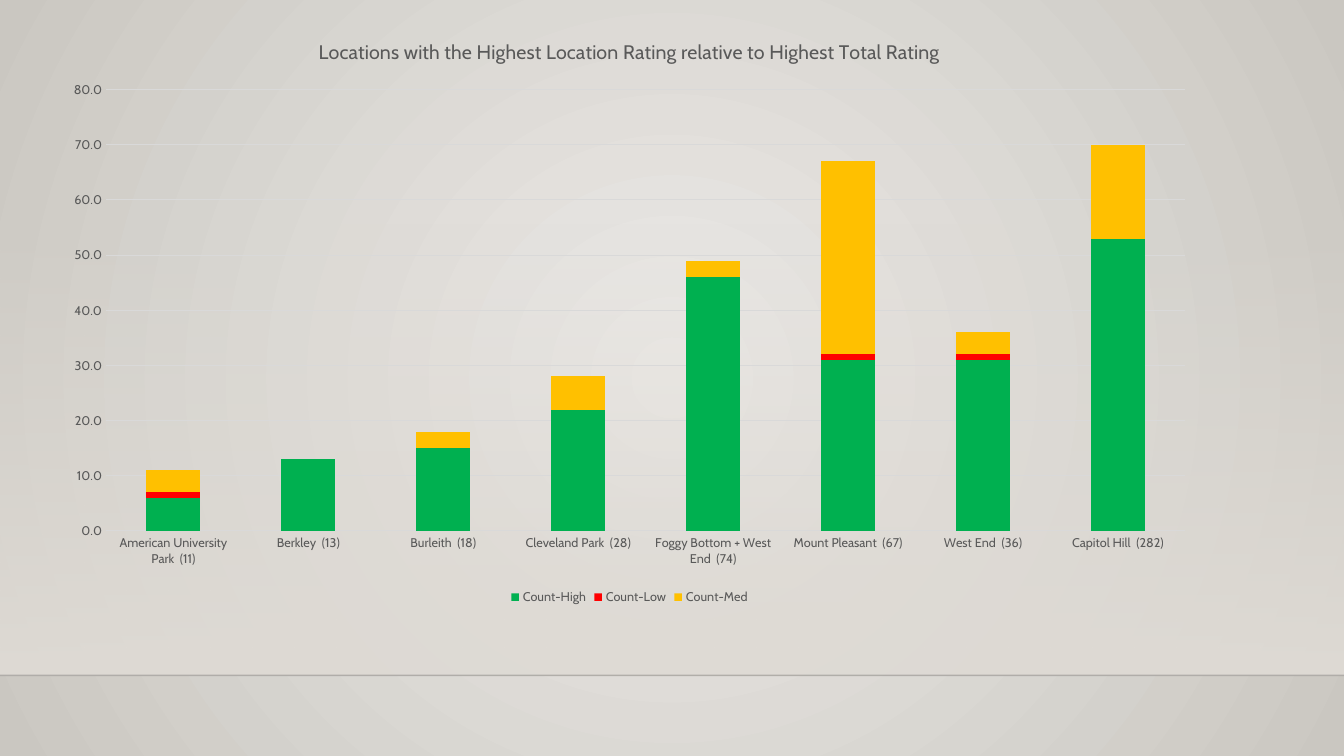
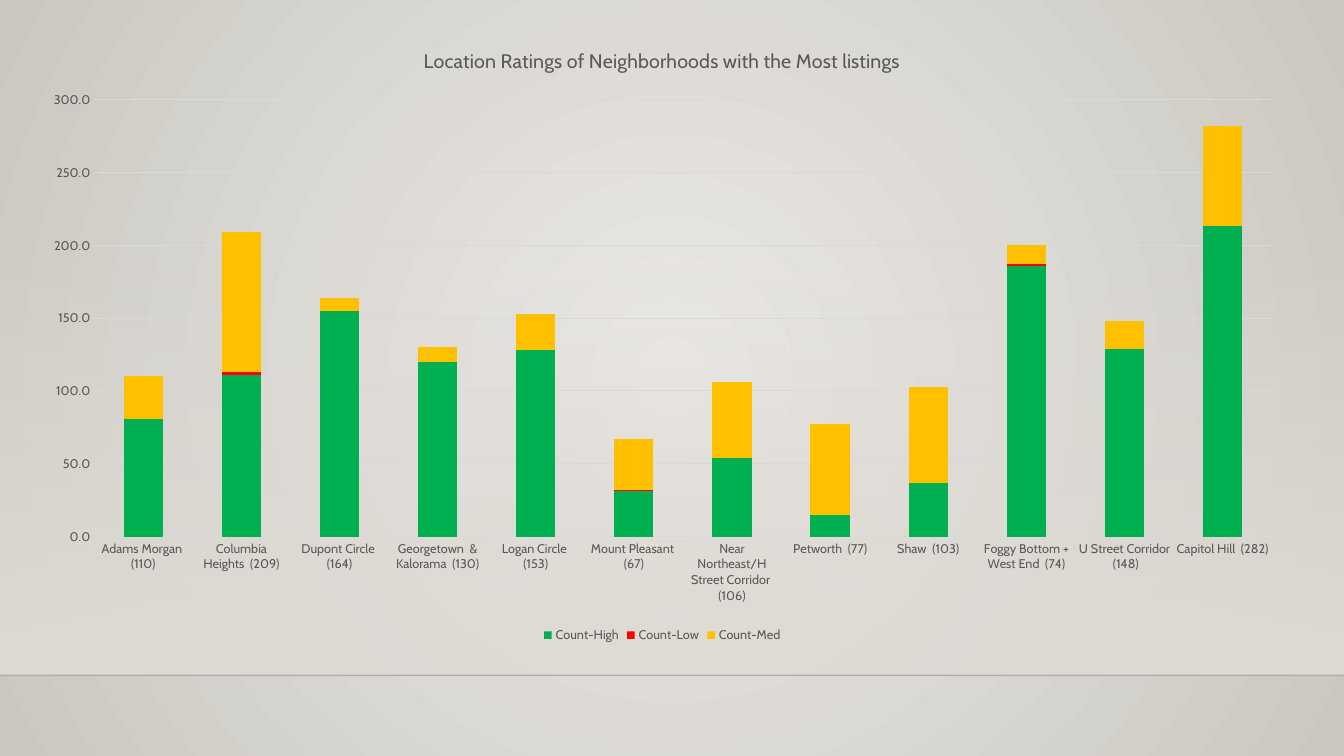
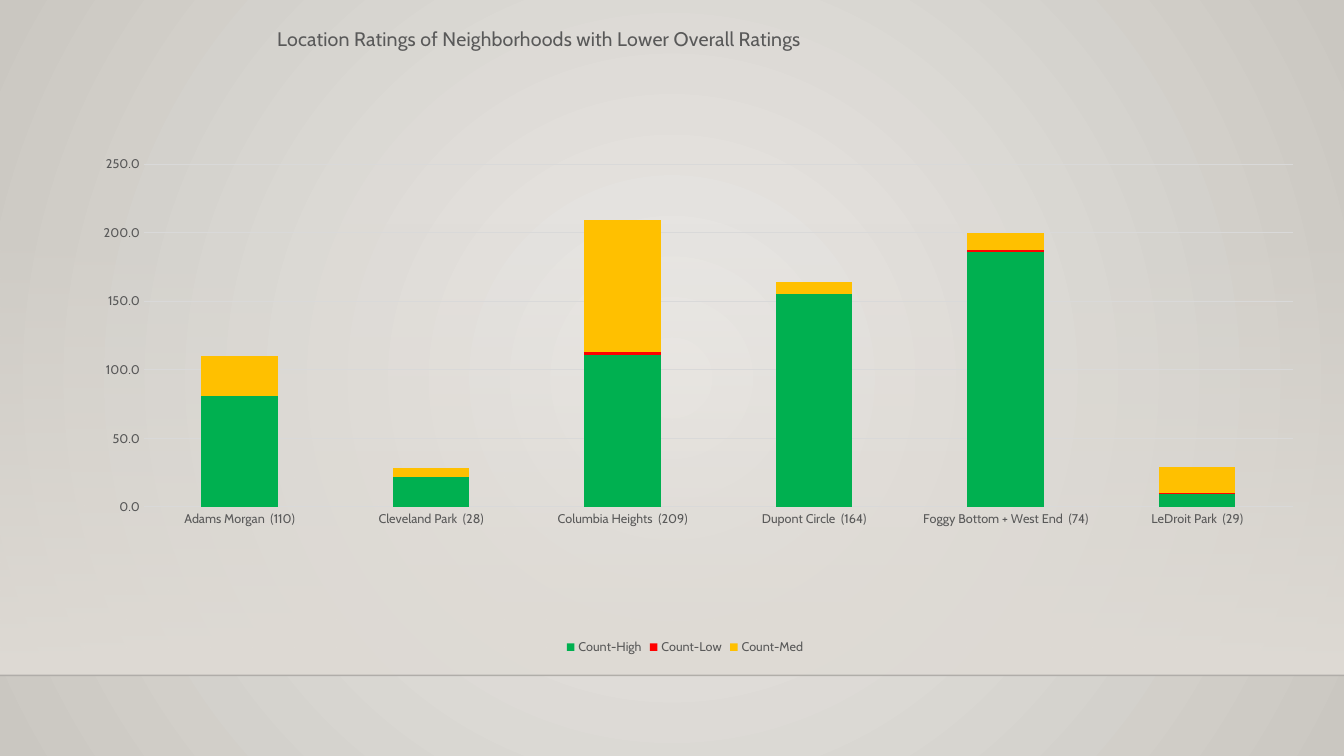
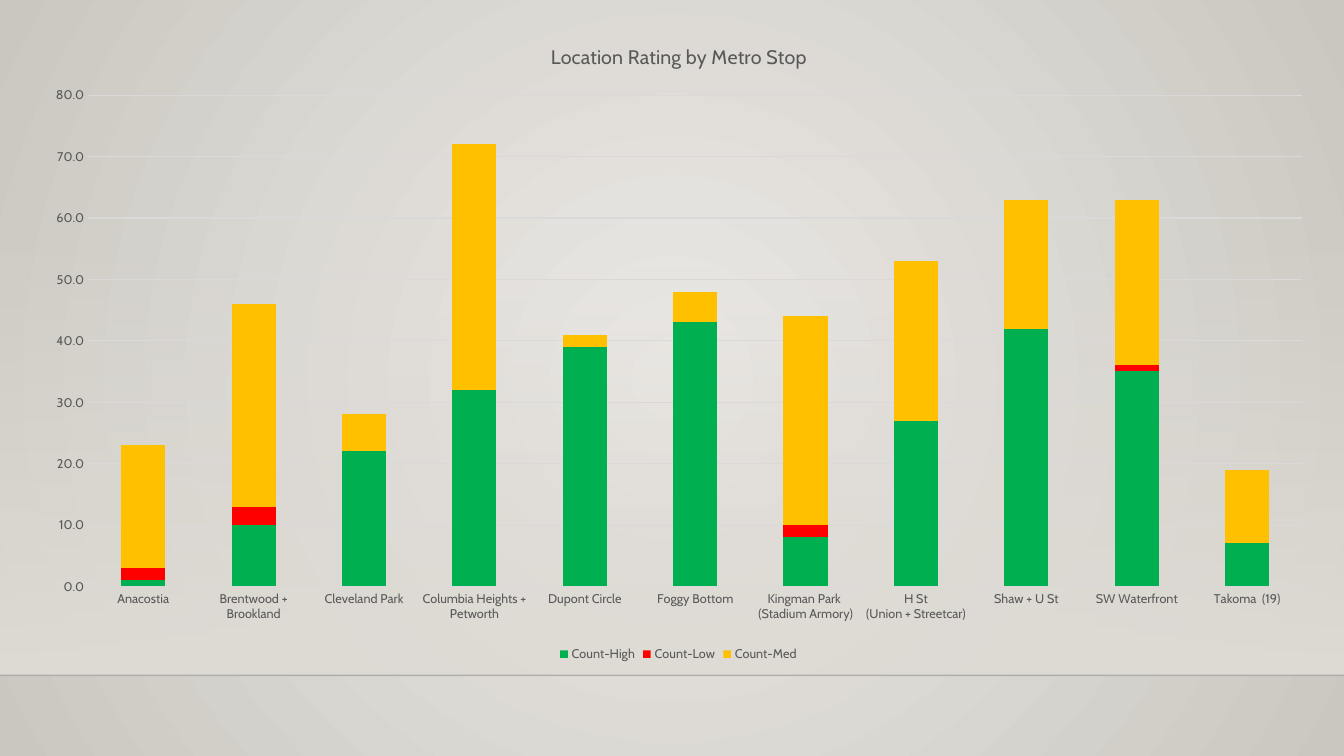
from pptx import Presentation
from pptx import util as u
from pptx.chart.data import CategoryChartData
from pptx.dml.color import RGBColor
from pptx.enum import chart as charts, shapes
from pptx.oxml import parse_xml
from pptx.oxml.ns import nsdecls, qn
from pptx.oxml.xmlchemy import OxmlElement

FONT = "Cabin"
GREEN = RGBColor(0x00, 0xB0, 0x50)
RED = RGBColor(0xFF, 0x00, 0x00)
AMBER = RGBColor(0xFF, 0xC0, 0x00)
GREY = RGBColor(0x59, 0x59, 0x59)
GRID = RGBColor(0xD9, 0xD9, 0xD9)
CENTRE = RGBColor(0xEC, 0xEA, 0xE7)
EDGE = RGBColor(0xCA, 0xC7, 0xC1)
FLOOR = RGBColor(0xDF, 0xDB, 0xD5)
HORIZON = RGBColor(0x00, 0x00, 0x01)

WIDTH, HEIGHT = 960, 540
FLOOR_TOP, FLOOR_BOTTOM = 159, 482.4
SERIES = {"Count-High": GREEN, "Count-Low": RED, "Count-Med": AMBER}
LABEL_FONT = {"name": FONT, "size": u.Pt(9), "bold": False}
TITLE_FONT = {"name": FONT, "size": u.Pt(14), "bold": False}

# Chart frames are in points; title and plot places are percentages of the frame.
# Each row is: category, high, low, medium.
SLIDES = [
    {
        "title": "Locations with the Highest Location Rating relative to Highest Total Rating",
        "frame": (36, 13, 827.3, 422),
        "title_at": (22.85, 2.8),
        "plot": (4.8, 12.1, 93.2, 74.7),
        "rows": [
            ("American University Park  (11)", 6, 1, 4),
            ("Berkley  (13)", 13, None, None),
            ("Burleith  (18)", 15, None, 3),
            ("Cleveland Park  (28)", 22, None, 6),
            ("Foggy Bottom + West End  (74)", 46, 0, 3),
            ("Mount Pleasant  (67)", 31, 1, 35),
            ("West End  (36)", 31, 1, 4),
            ("Capitol Hill  (282)", 53, None, 17),
        ],
    },
    {
        "title": "Location Ratings of Neighborhoods with the Most listings",
        "frame": (20.2, 19.4, 905.8, 442.8),
        "title_at": (30.9, 2.7),
        "plot": (5.2, 11.7, 92.85, 70.5),
        "rows": [
            ("Adams Morgan  (110)", 81, None, 29),
            ("Columbia Heights  (209)", 111, 2, 96),
            ("Dupont Circle  (164)", 155, None, 9),
            ("Georgetown  & Kalorama  (130)", 120, None, 10),
            ("Logan Circle  (153)", 128, None, 25),
            ("Mount Pleasant  (67)", 31, 1, 35),
            ("Near Northeast/H Street Corridor  (106)", 54, None, 52),
            ("Petworth  (77)", 15, None, 62),
            ("Shaw  (103)", 37, None, 66),
            ("Foggy Bottom + West End  (74)", 186, 1, 13),
            ("U Street Corridor  (148)", 129, None, 19),
            ("Capitol Hill  (282)", 213, None, 69),
        ],
    },
    {
        "title": "Location Ratings of Neighborhoods with Lower Overall Ratings",
        "frame": (18.7, 15.8, 941.3, 455),
        "title_at": (18.78, 0),
        "plot": (8.93, 22.3, 87.2, 53.8),
        "rows": [
            ("Adams Morgan  (110)", 81, None, 29),
            ("Cleveland Park  (28)", 22, None, 6),
            ("Columbia Heights  (209)", 111, 2, 96),
            ("Dupont Circle  (164)", 155, None, 9),
            ("Foggy Bottom + West End  (74)", 186, 1, 13),
            ("LeDroit Park  (29)", 9, 1, 19),
        ],
    },
    {
        "title": "Location Rating by Metro Stop",
        "frame": (20.9, 15.8, 927.4, 460),
        "title_at": (39.9, 2.7),
        "plot": (4.53, 11.35, 93.53, 76.3),
        "rows": [
            ("Anacostia", 1, 2, 20),
            ("Brentwood + Brookland", 10, 3, 33),
            ("Cleveland Park", 22, None, 6),
            ("Columbia Heights + Petworth", 32, 0, 40),
            ("Dupont Circle", 39, None, 2),
            ("Foggy Bottom", 43, None, 5),
            ("Kingman Park  (Stadium Armory)", 8, 2, 34),
            ("H St\n(Union + Streetcar)", 27, None, 26),
            ("Shaw + U St", 42, None, 21),
            ("SW Waterfront", 35, 1, 27),
            ("Takoma  (19)", 7, None, 12),
        ],
    },
]


def set_font(font, values):
    for name, value in values.items():
        setattr(font, name, value)
    font.color.rgb = GREY


def set_layout(parent, index, target, box):
    """Place a chart part at x, y and, if given, w, h, in percent."""
    for old in parent.findall(qn("c:layout")):
        parent.remove(old)
    modes = "".join(f'<c:{axis}Mode val="edge"/>' for axis in "xy")
    sizes = "".join(f'<c:{key} val="{value / 100:.4f}"/>' for key, value in zip("xywh", box))
    parent.insert(index, parse_xml(
        f'<c:layout {nsdecls("c")}><c:manualLayout>{target}{modes}{sizes}'
        '</c:manualLayout></c:layout>'))


presentation = Presentation()
presentation.slide_width, presentation.slide_height = u.Pt(WIDTH), u.Pt(HEIGHT)
master = presentation.slide_master
blank_layout = presentation.slide_layouts[6]
slides = [presentation.slides.add_slide(blank_layout) for _ in SLIDES]

# Master background: radial gradient
background = master.background.fill
background.gradient()
for stop, color in zip(background.gradient_stops, (CENTRE, EDGE)):
    stop.color.rgb = color
linear = master.element.xpath(".//p:bgPr//a:lin")[0]
linear.getparent().replace(linear, parse_xml(
    f'<a:path {nsdecls("a")} path="circle">'
    '<a:fillToRect l="50000" t="50000" r="50000" b="50000"/></a:path>'))

# Master floor: a band that fades in downwards, closed by a thin line
floor = slides[0].shapes.add_shape(
    shapes.MSO_SHAPE.RECTANGLE, 0, u.Pt(FLOOR_TOP), u.Pt(WIDTH), u.Pt(FLOOR_BOTTOM - FLOOR_TOP))
floor.shadow.inherit = False
floor.line.fill.background()
floor.fill.gradient()
floor.fill.gradient_angle = 270
for stop in floor.fill.gradient_stops:
    stop.color.rgb = FLOOR

horizon = slides[0].shapes.add_connector(
    shapes.MSO_CONNECTOR.STRAIGHT, 0, u.Pt(FLOOR_BOTTOM), u.Pt(WIDTH), u.Pt(FLOOR_BOTTOM))
horizon.line.width = u.Pt(1)
horizon.line.color.rgb = HORIZON
horizon._element.spPr.append(OxmlElement("a:effectLst"))

for position, (shape, opacity) in enumerate(((floor, 0), (horizon, 20000))):
    alpha = OxmlElement("a:alpha")
    alpha.set("val", str(opacity))
    shape._element.xpath("./p:spPr//a:srgbClr")[0].append(alpha)
    shape._element.xpath(".//p:cNvPr")[0].set("id", str(101 + position))
    master.shapes._spTree.insert(2 + position, shape._element)

# Stacked column charts
for slide, content in zip(slides, SLIDES):
    categories, *columns = zip(*content["rows"])
    data = CategoryChartData(number_format="0.0")
    data.categories = categories
    for name, values in zip(SERIES, columns):
        data.add_series(name, values)
    chart = slide.shapes.add_chart(
        charts.XL_CHART_TYPE.COLUMN_STACKED, *map(u.Pt, content["frame"]), data).chart
    set_font(chart.font, LABEL_FONT)

    # Title
    chart.has_title = True
    title = chart.chart_title
    title.include_in_layout = False
    title.text_frame.text = content["title"]
    set_font(title.text_frame.paragraphs[0].runs[0].font, TITLE_FONT)
    set_layout(title._element, 1, "", content["title_at"])

    # Columns
    plot = chart.plots[0]
    plot.gap_width, plot.overlap, plot.vary_by_categories = 150, 100, False
    for series, color in zip(plot.series, SERIES.values()):
        series.format.fill.solid()
        series.format.fill.fore_color.rgb = color
        series.invert_if_negative = False
    set_layout(chart.element.xpath("c:chart/c:plotArea")[0], 0,
               '<c:layoutTarget val="inner"/>', content["plot"])

    # Axes and legend
    for axis in (chart.category_axis, chart.value_axis):
        axis.major_tick_mark = axis.minor_tick_mark = charts.XL_TICK_MARK.NONE
        set_font(axis.tick_labels.font, LABEL_FONT)
    chart.value_axis.format.line.fill.background()
    chart.value_axis.tick_labels.number_format = "0.0"
    chart.value_axis.tick_labels.number_format_is_linked = False
    for line in (chart.category_axis.format.line, chart.value_axis.major_gridlines.format.line):
        line.color.rgb = GRID
        line.width = u.Pt(0.75)
    chart.has_legend = True
    chart.legend.position = charts.XL_LEGEND_POSITION.BOTTOM
    chart.legend.include_in_layout = False
    set_font(chart.legend.font, LABEL_FONT)

presentation.save("out.pptx")
